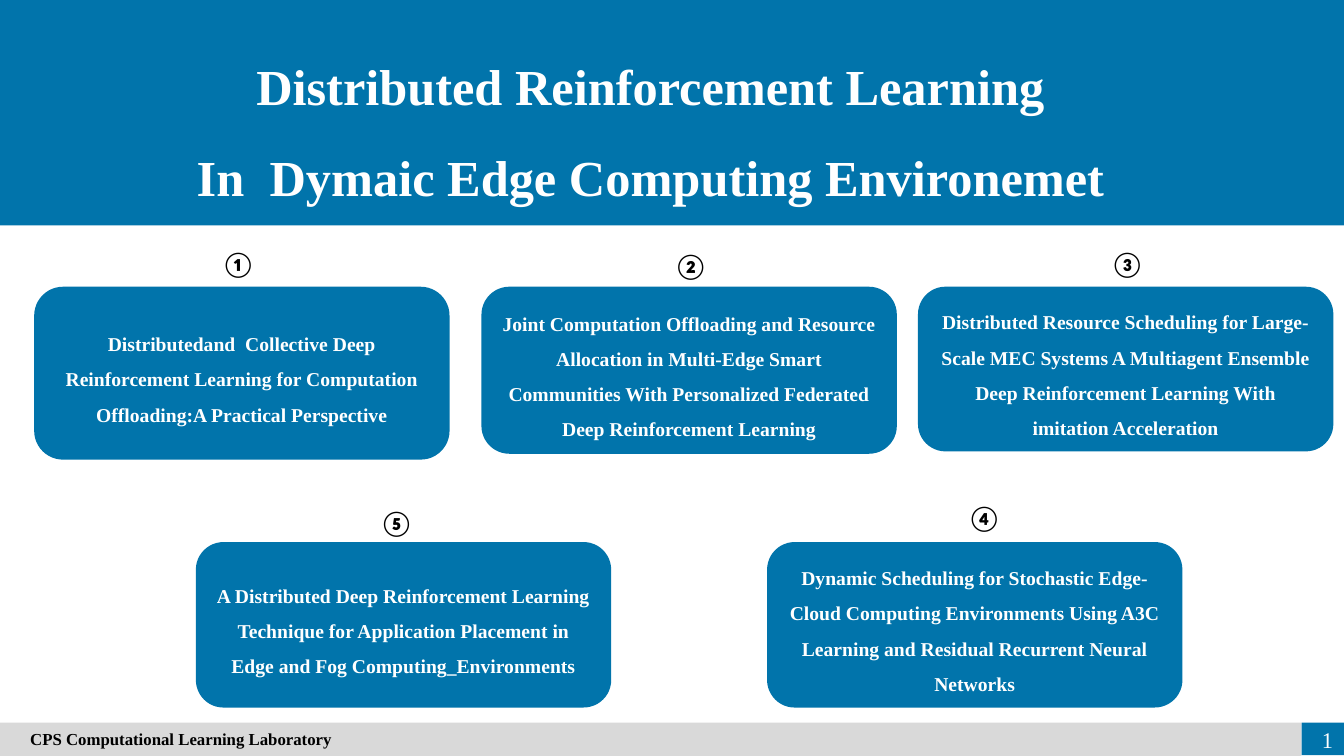
from lxml import etree
from pptx import Presentation
from pptx.dml.color import RGBColor
from pptx.enum.shapes import MSO_SHAPE
from pptx.enum.text import MSO_ANCHOR, MSO_AUTO_SIZE, PP_ALIGN
from pptx.oxml.ns import qn
from pptx.util import Pt

BLUE = RGBColor(0x01, 0x74, 0xAB)
GRAY = RGBColor(0xD9, 0xD9, 0xD9)
WHITE = RGBColor(0xFF, 0xFF, 0xFF)
BLACK = RGBColor(0, 0, 0)
SERIF = "Times New Roman"

SLIDE_W, SLIDE_H = 960, 540
CARD_W = 296.7
BADGE_W, BADGE_H = 32.4, 29

TITLE = ["Distributed Reinforcement Learning", "In  Dymaic Edge Computing Environemet"]
# number, paper, card left, top and height, badge left and top
PAPERS = [
    ("①", "Distributedand  Collective Deep Reinforcement Learning for Computation "
     "Offloading:A Practical Perspective", 24.4, 204.8, 123.5, 151.2, 173.5),
    ("②", "Joint Computation Offloading and Resource Allocation in Multi-Edge Smart "
     "Communities With Personalized Federated Deep Reinforcement Learning",
     343.9, 204.8, 119.3, 474.5, 175.5),
    ("③", "Distributed Resource Scheduling for Large-Scale MEC Systems A Multiagent "
     "Ensemble Deep Reinforcement Learning With imitation Acceleration",
     655.7, 204.8, 117.6, 786.2, 173.5),
    ("④", "Dynamic Scheduling for Stochastic Edge-Cloud Computing Environments Using "
     "A3C Learning and Residual Recurrent Neural Networks",
     547.9, 387.2, 118.2, 684, 355),
    ("⑤", "A Distributed Deep Reinforcement Learning Technique for Application "
     "Placement in Edge and Fog Computing_Environments",
     139.9, 387.2, 118.2, 264.2, 358.6),
]


def write(sp, *lines, size, color=WHITE, font=SERIF, bold=True, align=PP_ALIGN.LEFT,
          anchor=MSO_ANCHOR.MIDDLE, spacing=1.0, wrap=True):
    """Fill a shape with one formatted paragraph per line and return its text frame."""
    tf = sp.text_frame
    tf.word_wrap = wrap
    tf.auto_size = MSO_AUTO_SIZE.NONE
    tf.vertical_anchor = anchor
    for i, line in enumerate(lines):
        p = tf.paragraphs[0] if i == 0 else tf.add_paragraph()
        p.alignment = align
        p.line_spacing = spacing
        p.space_before = Pt(0)
        r = p.add_run()
        r.text = line
        r.font.name = font
        r.font.size = Pt(size)
        r.font.bold = bold
        r.font.color.rgb = color
    return tf


def add_block(slide, x, y, w, h, fill=BLUE, kind=MSO_SHAPE.RECTANGLE):
    sp = slide.shapes.add_shape(kind, Pt(x), Pt(y), Pt(w), Pt(h))
    sp.fill.solid()
    sp.fill.fore_color.rgb = fill
    sp.line.fill.background()
    sp.shadow.inherit = False
    return sp


def add_text_box(slide, x, y, w, h):
    return slide.shapes.add_textbox(Pt(x), Pt(y), Pt(w), Pt(h))


def add_header(slide, x, y, w, h):
    banner = add_block(slide, x, y, w, h)
    title = slide.shapes.title
    title.left, title.top = Pt(x + 24.4), Pt(y + 14.4)
    title.width, title.height = Pt(880.6), Pt(138.2)
    title.element.addprevious(banner.element)
    write(title, *TITLE, size=36, align=PP_ALIGN.CENTER, anchor=MSO_ANCHOR.TOP, spacing=1.5)


def add_paper(slide, number, paper, x, y, h, badge_x, badge_y):
    card = add_block(slide, x, y, CARD_W, h, kind=MSO_SHAPE.ROUNDED_RECTANGLE)
    write(card, paper, size=14, align=PP_ALIGN.CENTER, spacing=1.5)
    badge = add_text_box(slide, badge_x, badge_y, BADGE_W, BADGE_H)
    write(badge, number, size=18, color=BLACK, font="Calibri", anchor=MSO_ANCHOR.TOP, wrap=False)


def make_slide_number(run):
    """Turn a run into a slide number field."""
    r = run._r
    field = etree.Element(qn("a:fld"), id="{B6F15528-21DE-4FAA-801E-634DDDAF4B2B}",
                          type="slidenum")
    r.addprevious(field)
    field.extend(list(r))
    r.getparent().remove(r)


def add_footer(slide, x, y, w, h):
    number_w = 30.3
    bar = add_block(slide, x, y, w - number_w, h, fill=GRAY)
    tf = write(bar, "CPS Computational Learning Laboratory", size=12, color=BLACK)
    tf.margin_left = Pt(21.6)
    add_block(slide, x + w - number_w, y, number_w, h - 0.6)
    box = add_text_box(slide, x + w - 46.1, y - 2.6, 45.4, 28.8)
    tf = write(box, "1", size=16, bold=False, align=PP_ALIGN.RIGHT)
    make_slide_number(tf.paragraphs[0].runs[0])


def main():
    prs = Presentation()
    prs.slide_width, prs.slide_height = Pt(SLIDE_W), Pt(SLIDE_H)
    slide = prs.slides.add_slide(prs.slide_layouts[5])
    add_header(slide, 0, 0, SLIDE_W, 161)
    for paper in PAPERS:
        add_paper(slide, *paper)
    add_footer(slide, 0, 516.2, SLIDE_W, 23.8)
    prs.save("out.pptx")


if __name__ == "__main__":
    main()
